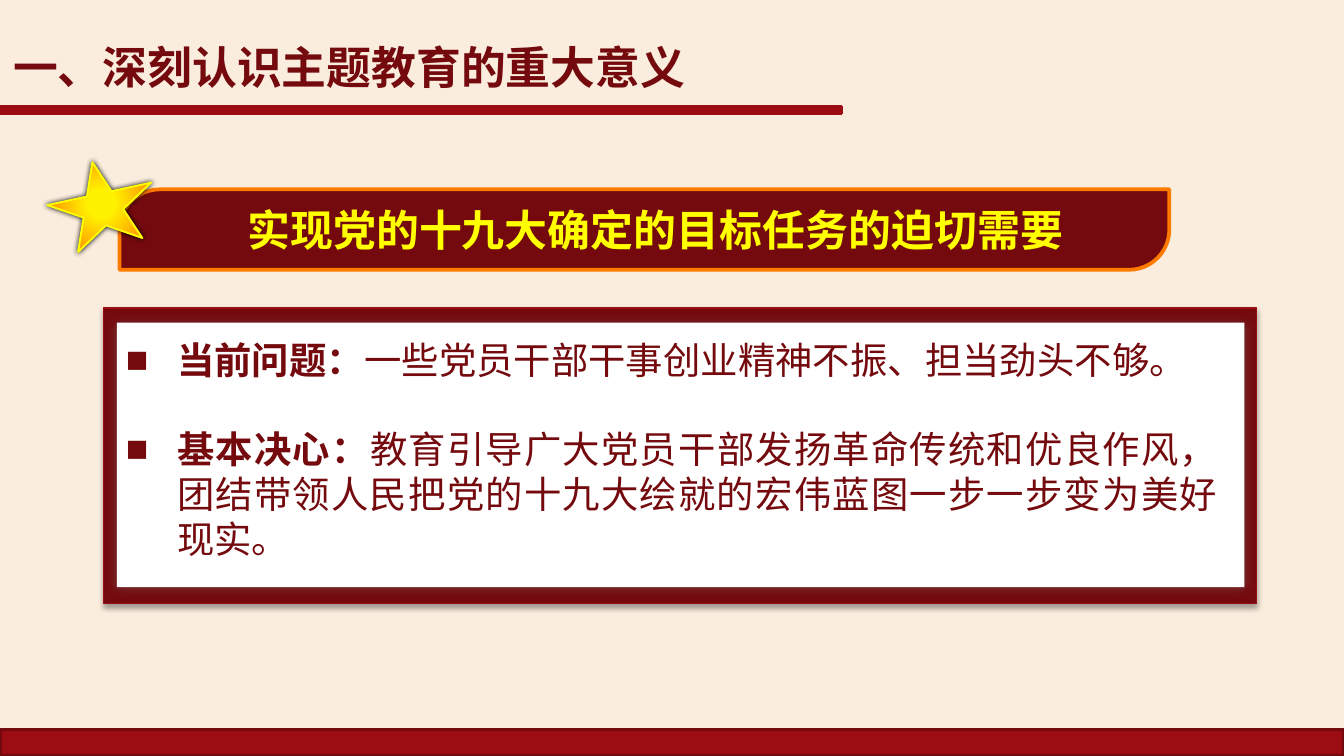
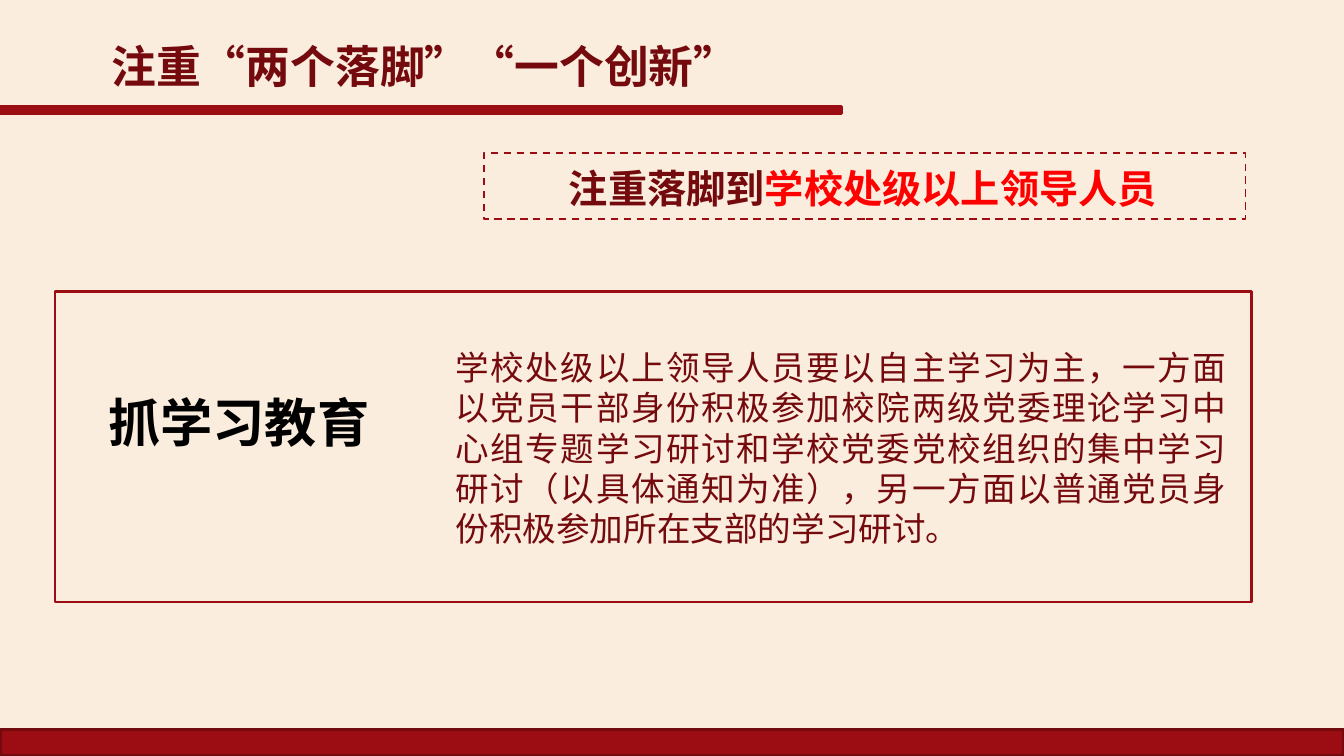
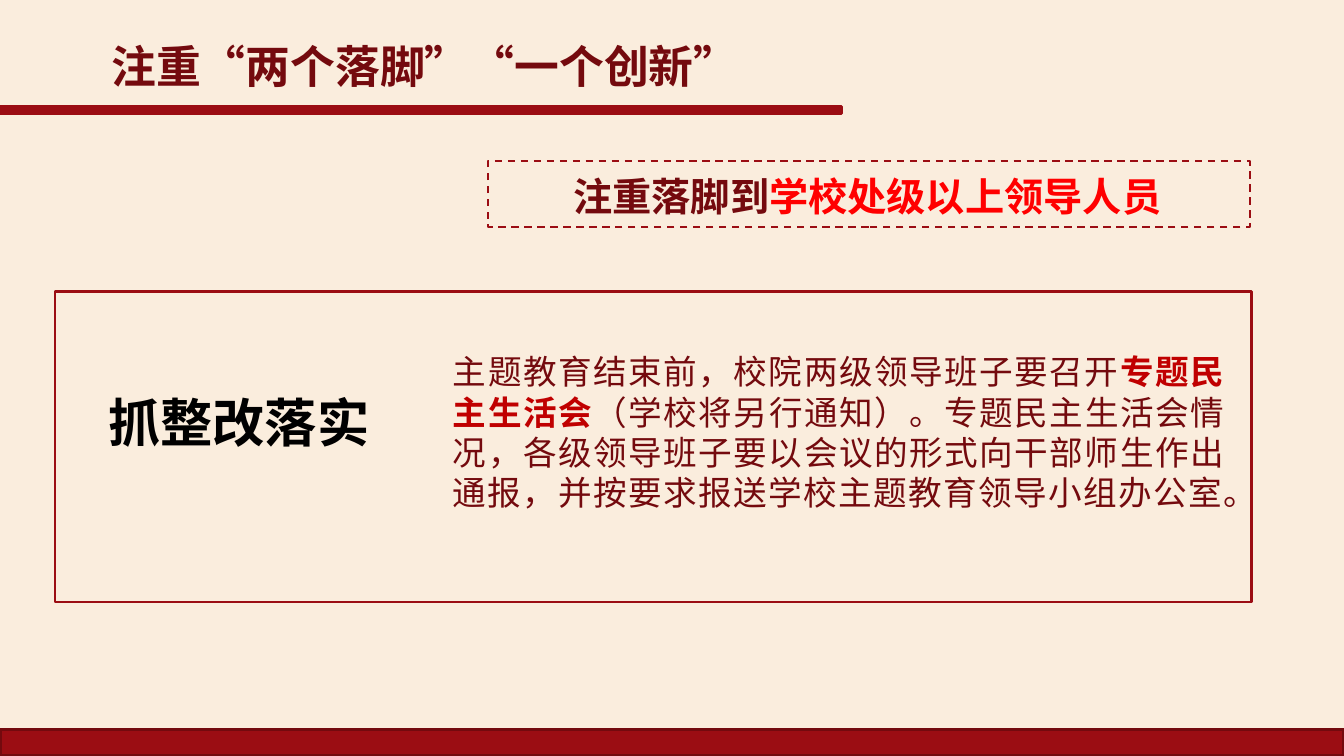
from lxml import etree
from pptx import Presentation
from pptx.dml.color import RGBColor
from pptx.enum.dml import MSO_LINE
from pptx.enum.shapes import MSO_SHAPE
from pptx.enum.text import MSO_ANCHOR, PP_ALIGN
from pptx.oxml.ns import qn
from pptx.util import Cm, Pt

RECT, STAR = MSO_SHAPE.RECTANGLE, MSO_SHAPE.STAR_5_POINT
LEAF = MSO_SHAPE.ROUND_2_DIAG_RECTANGLE
DASH = MSO_LINE.DASH
TOP, MIDDLE = MSO_ANCHOR.TOP, MSO_ANCHOR.MIDDLE
LEFT, CENTER, JUSTIFY = PP_ALIGN.LEFT, PP_ALIGN.CENTER, PP_ALIGN.JUSTIFY

PAGE_W, PAGE_H = 25.4, 14.29
CREAM, RED, DARK, EDGE = "FAEDDD", "9B0D13", "740A0E", "730A0E"
YELLOW, ORANGE, WHITE, BLACK = "FFFF00", "FF7A00", "FFFFFF", "000000"
BRIGHT, STRONG = "FF0000", "C00000"
SANS, LATIN = "Noto Sans CJK SC", "Arial"


def color(hex_text):
    return RGBColor.from_string(hex_text)


def element(parent, tag, **values):
    return etree.SubElement(parent, qn(tag), {k: str(v) for k, v in values.items()})


def add_box(shapes, kind, box, fill=None, line=None, width=1, dash=None):
    shape = shapes.add_shape(kind, *map(Cm, box))
    shape.shadow.inherit = False
    if fill:
        shape.fill.solid()
        shape.fill.fore_color.rgb = color(fill)
    else:
        shape.fill.background()
    if line:
        shape.line.color.rgb = color(line)
        shape.line.width = Pt(width)
        if dash:
            shape.line.dash_style = dash
    else:
        shape.line.fill.background()
    return shape


def cast_shadow(shape, shade, alpha, blur, distance=0, angle=0):
    effects = shape._element.spPr.find(qn("a:effectLst"))
    shadow = element(effects, "a:outerShdw", blurRad=Pt(blur), dist=Pt(distance),
                     dir=angle * 60000, algn="ctr", rotWithShape=0)
    tint = element(shadow, "a:srgbClr", val=shade)
    element(tint, "a:alpha", val=alpha * 1000)


def radial_fill(shape, stops):
    shape.fill.gradient()
    gradient = shape._element.spPr.find(qn("a:gradFill"))
    for child in list(gradient):
        gradient.remove(child)
    stop_list = element(gradient, "a:gsLst")
    for place, shade in stops:
        stop = element(stop_list, "a:gs", pos=place * 1000)
        element(stop, "a:srgbClr", val=shade)
    circle = element(gradient, "a:path", path="circle")
    element(circle, "a:fillToRect", l=50000, t=50000, r=50000, b=50000)


def add_text(shapes, box, paragraphs, size, face=SANS, shade=DARK, align=LEFT,
             anchor=MIDDLE, spacing=None, gap=0, bullet=None, insets=(0.25, 0.13)):
    """Each paragraph is a list of (text, format values) spans."""
    frame = shapes.add_textbox(*map(Cm, box)).text_frame
    side, edge = map(Cm, insets)
    layout = {"word_wrap": True, "vertical_anchor": anchor, "margin_left": side,
              "margin_right": side, "margin_top": edge, "margin_bottom": edge}
    for name, value in layout.items():
        setattr(frame, name, value)
    for index, spans in enumerate(paragraphs):
        para = frame.add_paragraph() if index else frame.paragraphs[0]
        para.alignment = align
        if spacing:
            para.line_spacing = spacing
        if index and gap:
            para.space_before = Pt(gap)
        if bullet:
            props = para._p.get_or_add_pPr()
            props.set("marL", str(Cm(0.97)))
            props.set("indent", str(-Cm(0.97)))
            element(props, "a:buFont", typeface=LATIN)
            element(props, "a:buChar", char=bullet)
        for text, changes in spans:
            span = para.add_run()
            span.text = text
            values = {"size": Pt(size), "name": face, "bold": False, "shade": shade}
            values.update(changes)
            span.font.color.rgb = color(values.pop("shade"))
            for name, value in values.items():
                setattr(span.font, name, value)
            element(span._r.get_or_add_rPr(), "a:ea", typeface=SANS)


BOLD = {"bold": True}


def add_page(deck, title, title_box, face=SANS, align=LEFT):
    """Background, footer band, title rule and title."""
    page = deck.slides.add_slide(deck.slide_layouts[6])
    page.background.fill.solid()
    page.background.fill.fore_color.rgb = color(CREAM)
    add_box(page.shapes, RECT, (0, 13.79, PAGE_W, 0.5), RED, EDGE, 2)
    add_box(page.shapes, RECT, (0, 2.01, 15.9, 0.13), RED, RED, 1.5)
    add_text(page.shapes, title_box, [[(title, BOLD)]], 24, face, align=align,
             spacing=1.2)
    return page


def add_banner(page, box, text):
    left, top, width, height = box
    shapes = page.shapes.add_group_shape().shapes
    leaf = add_box(shapes, LEAF, box, DARK, ORANGE, 2)
    leaf.adjustments[0], leaf.adjustments[1] = 0.5, 0
    star = add_box(shapes, STAR, (left - 1.35, top - 0.53, 2.01, 1.6), YELLOW, YELLOW)
    star.rotation = 347.8
    radial_fill(star, [(17, "FFF200"), (79, ORANGE)])
    cast_shadow(star, BLACK, 100, 3)
    add_text(shapes, (left + 0.43, top + 0.13, width - 0.43, 1.24), [[(text, BOLD)]],
             23, shade=YELLOW, align=CENTER)


def add_framed_list(page, box, items):
    left, top, width, height = box
    frame = add_box(page.shapes, RECT, box, DARK, RED, 0.75)
    cast_shadow(frame, BLACK, 35, 3.1, 1.8, 90)
    paper = add_box(page.shapes, RECT,
                    (left + 0.25, top + 0.28, width - 0.48, height - 0.59), WHITE)
    cast_shadow(paper, "808080", 40, 5)
    add_text(page.shapes, (left + 0.17, top + 0.35, width - 0.66, 4.52),
             [[(lead, BOLD), (rest, {})] for lead, rest in items], 20,
             align=JUSTIFY, anchor=TOP, spacing=Pt(24), gap=24, bullet="■",
             insets=(0.25, 0.2))


def add_focus(page, left, top):
    """Dashed label naming the audience."""
    shapes = page.shapes.add_group_shape().shapes
    add_box(shapes, RECT, (left, top, 14.4, 1.24), line=RED, dash=DASH)
    spans = [("注重落脚到", BOLD),
             ("学校处级以上领导人员", {"bold": True, "shade": BRIGHT})]
    add_text(shapes, (left - 0.83, top + 0.08, 16, 1.14), [spans], 21, align=CENTER)


def add_panel(page, box, heading, spans, body_box):
    """Outlined panel; body_box is relative to its corner."""
    left, top = box[:2]
    add_box(page.shapes, RECT, box, line=RED, width=1.5)
    x, y, width, height = body_box
    add_text(page.shapes, (left + x, top + y, width, height), [spans], 18,
             align=JUSTIFY, anchor=TOP, spacing=Pt(21.6), insets=(0.18, 0.16))
    add_text(page.shapes, (left + 0.76, top + 1.73, 5.94, 1.45), [[(heading, BOLD)]],
             28, LATIN, BLACK)


def significance_slide(deck):
    page = add_page(deck, "一、深刻认识主题教育的重大意义", (0, 0.36, 13.49, 1.6), LATIN)
    add_banner(page, (2.26, 3.58, 19.84, 1.52), "实现党的十九大确定的目标任务的迫切需要")
    add_framed_list(page, (1.96, 5.82, 21.79, 5.59), [
        ("当前问题：", "一些党员干部干事创业精神不振、担当劲头不够。"),
        ("基本决心：", "教育引导广大党员干部发扬革命传统和优良作风，"
                  "团结带领人民把党的十九大绘就的宏伟蓝图一步一步变为美好现实。"),
    ])


def focus_slide(deck, focus_at, heading, spans, body_box):
    page = add_page(deck, "注重“两个落脚”“一个创新”", (0.03, 0.33, 16, 1.6),
                    align=CENTER)
    add_focus(page, *focus_at)
    add_panel(page, (1.04, 5.51, 22.61, 5.87), heading, spans, body_box)


def main():
    deck = Presentation()
    deck.slide_width, deck.slide_height = Cm(PAGE_W), Cm(PAGE_H)
    significance_slide(deck)
    focus_slide(deck, (9.14, 2.9), "抓学习教育", [
        ("学校处级以上领导人员要以自主学习为主，一方面以党员干部身份积极参加校院两级"
         "党委理论学习中心组专题学习研讨和学校党委党校组织的集中学习研讨"
         "（以具体通知为准），另一方面以普通党员身份积极参加所在支部的学习研讨。", {}),
    ], (7.39, 0.89, 14.94, 4.04))
    focus_slide(deck, (9.22, 3.05), "抓整改落实", [
        ("主题教育结束前，校院两级领导班子要召开", {}),
        ("专题民主生活会", {"bold": True, "shade": STRONG}),
        ("（学校将另行通知）。专题民主生活会情况，各级领导班子要以会议的形式向干部师生"
         "作出通报，并按要求报送学校主题教育领导小组办公室。", {}),
    ], (7.34, 0.97, 14.94, 3.28))
    deck.save("out.pptx")


if __name__ == "__main__":
    main()
